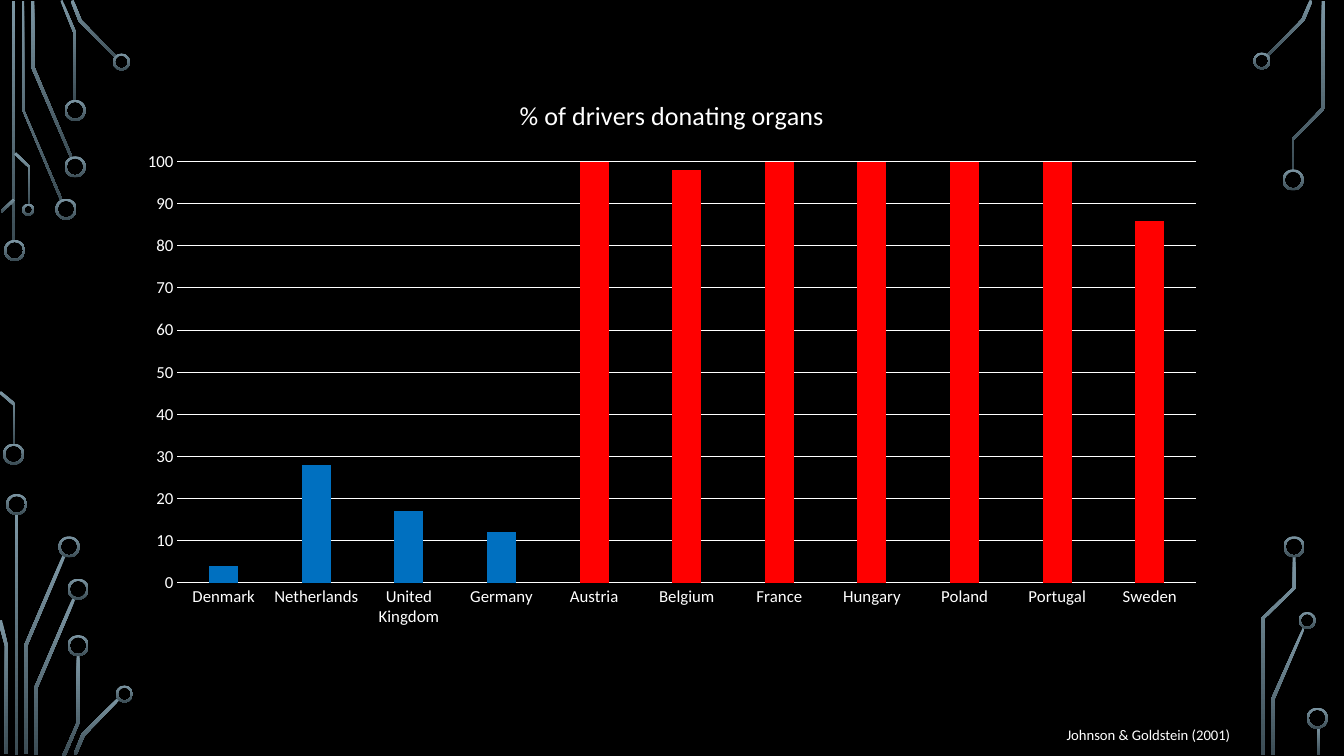
from pptx import Presentation
from pptx.chart.data import CategoryChartData
from pptx.dml.color import RGBColor
from pptx.enum.chart import XL_CHART_TYPE, XL_TICK_MARK
from pptx.enum.shapes import MSO_SHAPE
from pptx.enum.text import MSO_AUTO_SIZE
from pptx.util import Inches, Pt

CELL = Inches(0.01)
COLUMNS, ROWS = 1333, 750
FONT = "Calibri"
TITLE = "% of drivers donating organs"


def color(hex_code):
    return RGBColor.from_string(hex_code)


def paint_circuit(shape):
    shape.shadow.inherit = False
    shape.line.fill.background()
    shape.fill.gradient()
    shape.fill.gradient_angle = 270
    for stop, shade in zip(shape.fill.gradient_stops, ("7C96A3", "3B4C54")):
        stop.color.rgb = color(shade)


deck = Presentation()
deck.slide_width = COLUMNS * CELL
deck.slide_height = ROWS * CELL
page = deck.slides.add_slide(deck.slide_layouts[6])
page.background.fill.solid()
page.background.fill.fore_color.rgb = color("000000")

bars = [(12, 1, 239), (15, 510, 239), (1306, 721, 28)]
for left, top, height in bars:
    bar = page.shapes.add_shape(
        MSO_SHAPE.RECTANGLE, left * CELL, top * CELL, 3 * CELL, height * CELL)
    paint_circuit(bar)

traces = [
    [(60, 199), (22, 109), (22, 1), (24, 1), (24, 109), (62, 198)],
    [(70, 157), (31, 67), (31, 1), (34, 1), (34, 66), (72, 156)],
    [(76, 100), (73, 100), (73, 33), (60, 1), (62, 0), (76, 33)],
    [(115, 58), (78, 21), (70, 1), (73, 0), (81, 20), (116, 56)],
    [(2, 211), (1, 209), (13, 197), (15, 199)],
    [(15, 441), (13, 441), (13, 402), (-1, 390), (1, 388), (15, 400)],
    [(30, 203), (28, 203), (28, 166), (14, 153), (16, 151), (30, 165)],
    [(27, 748), (24, 748), (24, 640), (62, 551), (65, 552), (27, 641)],
    [(8, 748), (5, 748), (5, 641), (-2, 616), (2, 615), (8, 641)],
    [(37, 749), (34, 749), (34, 682), (72, 593), (75, 594), (37, 683)],
    [(65, 750), (62, 749), (76, 717), (76, 650), (79, 650), (79, 717)],
    [(76, 749), (73, 748), (81, 728), (117, 692), (119, 694), (84, 730)],
    [(1258, 56), (1256, 55), (1291, 19), (1299, 0), (1302, 1), (1294, 20)],
    [(1264, 749), (1261, 749), (1261, 693), (1292, 623), (1294, 624), (1264, 694)],
    [(1283, 169), (1281, 169), (1281, 138), (1311, 107),
     (1311, 1), (1314, 1), (1314, 108), (1283, 139)],
    [(1254, 749), (1251, 749), (1251, 613), (1282, 583),
     (1282, 552), (1285, 552), (1285, 584), (1254, 614)],
]
for outline in traces:
    builder = page.shapes.build_freeform(*outline[0], scale=CELL)
    builder.add_line_segments(outline[1:], close=True)
    paint_circuit(builder.convert_to_shape())

rings_by_size = {
    21: [(4, 238), (3, 440), (55, 197), (64, 155), (64, 99), (6, 490), (58, 532),
         (67, 574), (67, 630), (1272, 168), (1273, 532), (1296, 702)],
    17: [(112, 53), (115, 680), (1243, 52), (1288, 607)],
    12: [(22, 202)],
}
for size, corners in rings_by_size.items():
    for left, top in corners:
        ring = page.shapes.add_shape(
            MSO_SHAPE.DONUT, left * CELL, top * CELL, size * CELL, size * CELL)
        ring.adjustments[0] = 2 / size
        paint_circuit(ring)

donors = {
    "Denmark": 4, "Netherlands": 28, "United Kingdom": 17, "Germany": 12,
    "Austria": 100, "Belgium": 98, "France": 100, "Hungary": 100,
    "Poland": 100, "Portugal": 100, "Sweden": 86,
}
OPT_IN_COUNTRIES = 4
data = CategoryChartData()
data.categories = list(donors)
data.add_series(TITLE, list(donors.values()))
chart = page.shapes.add_chart(
    XL_CHART_TYPE.COLUMN_CLUSTERED,
    125 * CELL, 75 * CELL, 1083 * CELL, 558 * CELL, data).chart
chart.has_legend = False
chart.font.name = FONT
chart.font.size = Pt(10)
chart.font.color.rgb = color("FFFFFF")

chart.has_title = True
chart.chart_title.include_in_layout = False
heading = chart.chart_title.text_frame
heading.text = TITLE
heading_font = heading.paragraphs[0].runs[0].font
heading_font.name = FONT
heading_font.size = Pt(18.6)
heading_font.bold = False
heading_font.color.rgb = color("FFFFFF")

for axis in (chart.category_axis, chart.value_axis):
    axis.major_tick_mark = XL_TICK_MARK.NONE
    axis.minor_tick_mark = XL_TICK_MARK.NONE
    axis.tick_labels.font.name = FONT
    axis.tick_labels.font.size = Pt(12)
    axis.tick_labels.font.color.rgb = color("FFFFFF")
chart.value_axis.minimum_scale = 0
chart.value_axis.maximum_scale = 100
chart.value_axis.major_unit = 10
chart.value_axis.has_major_gridlines = True
chart.value_axis.format.line.fill.background()
for ruled in (chart.category_axis, chart.value_axis.major_gridlines):
    ruled.format.line.color.rgb = color("FFFFFF")
    ruled.format.line.width = Pt(0.75)

plot = chart.plots[0]
plot.gap_width = 219
plot.overlap = -27
plot.vary_by_categories = False
series = plot.series[0]
series.format.fill.solid()
series.format.fill.fore_color.rgb = color("4FD093")
for index in range(len(donors)):
    column_fill = series.points[index].format.fill
    column_fill.solid()
    column_fill.fore_color.rgb = color("0070C0" if index < OPT_IN_COUNTRIES else "FF0000")

credit_box = page.shapes.add_textbox(1048 * CELL, 715 * CELL, 208 * CELL, 28 * CELL)
credit = credit_box.text_frame
credit.text = "Johnson & Goldstein (2001)"
credit.word_wrap = True
credit.auto_size = MSO_AUTO_SIZE.SHAPE_TO_FIT_TEXT
span = credit.paragraphs[0].runs[0]
span.font.name = FONT
span.font.size = Pt(10.5)
span.font.color.rgb = color("FFFFFF")

deck.save("out.pptx")
